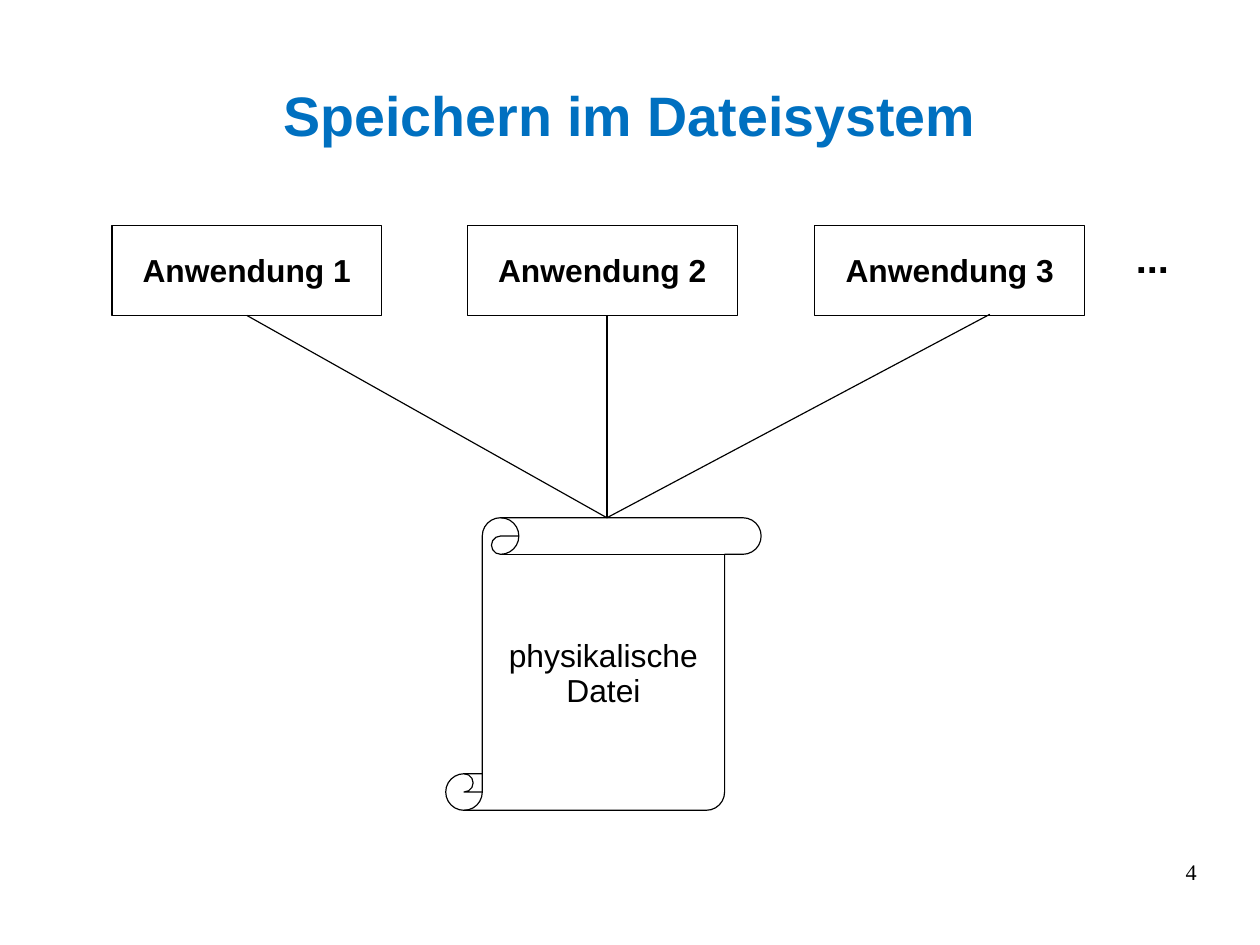
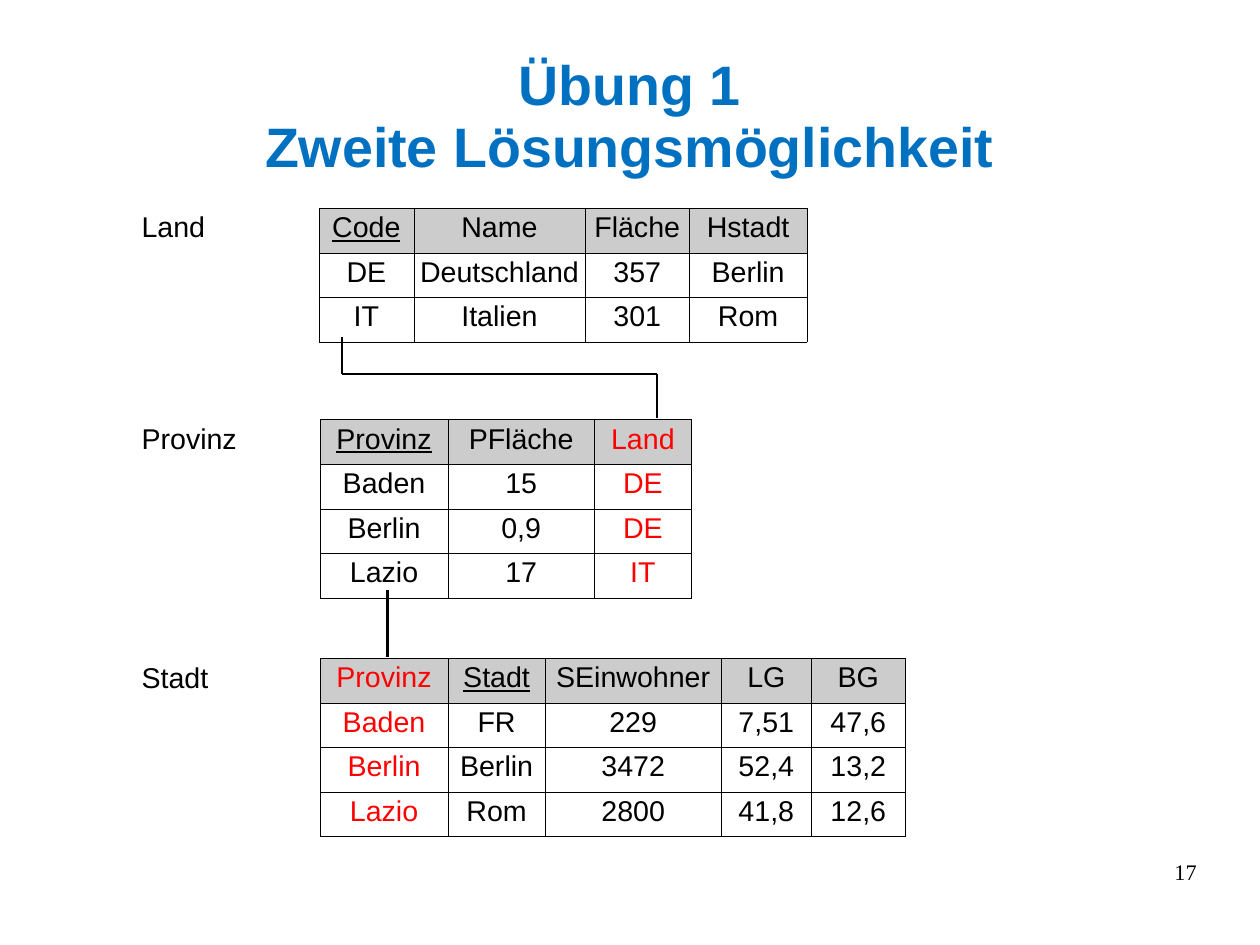
from dataclasses import dataclass

import pptx
import pptx.dml.color
import pptx.enum.shapes
import pptx.enum.text
import pptx.oxml
import pptx.oxml.ns
import pptx.util
from pptx.util import Inches

RGB = pptx.dml.color.RGBColor
ALIGN = pptx.enum.text.PP_ALIGN
ANCHOR = pptx.enum.text.MSO_ANCHOR
SHAPE = pptx.enum.shapes.MSO_SHAPE
LINK = pptx.enum.shapes.MSO_CONNECTOR


@dataclass(frozen=True)
class Style:
    size: float
    color: RGB
    bold: bool = False
    font: str = "Arial"
    align: ALIGN = ALIGN.CENTER
    space: float = 0.93
    under: bool = False


@dataclass(frozen=True)
class Theme:
    ink: RGB = RGB(0, 0, 0)
    blue: RGB = RGB(0x00, 0x70, 0xC0)
    red: RGB = RGB(0xFF, 0, 0)
    gray: RGB = RGB(0xCC, 0xCC, 0xCC)
    thin: float = 0.75
    thick: float = 1.42
    hair: float = 0.06
    title: Style = Style(35, blue, bold=True)
    number: Style = Style(14, ink, font="Times New Roman", align=ALIGN.RIGHT, space=0.95)
    app: Style = Style(20, ink, bold=True)
    file: Style = Style(20, ink)
    dots: Style = Style(25, ink, bold=True, align=ALIGN.LEFT)
    label: Style = Style(18, ink, align=ALIGN.LEFT, space=0.83)
    cell: Style = Style(18, ink)
    key: Style = Style(18, ink, under=True)
    ref: Style = Style(18, red)


@dataclass(frozen=True)
class Box:
    x: float
    y: float
    w: float
    h: float


@dataclass(frozen=True)
class Grid:
    """A relation: its key column is underlined, its foreign key column red."""
    name: str
    wide: float
    left: float
    top: float
    cols: tuple[float, ...]
    rows: tuple[str, ...]
    key: int
    ref: int = -1


THEME = Theme()
CM = 1 / 2.54
PAD = (0.1, 0.07, 0.1, 0.05)
ROW = 0.39
APPS = (0.98, 4.09, 7.13)
STARTS = ((2.16, 2.76), (5.31, 2.76), (8.66, 2.75))
GRIDS = (
    Grid("Land", 0.98, 2.79, 1.82, (0.83, 1.5, 0.91, 1.03),
         ("Code Name Fläche Hstadt", "DE Deutschland 357 Berlin", "IT Italien 301 Rom"), 0),
    Grid("Provinz", 1.38, 2.8, 3.67, (1.12, 1.28, 0.85),
         ("Provinz PFläche Land", "Baden 15 DE", "Berlin 0,9 DE", "Lazio 17 IT"), 0, 2),
    Grid("Stadt", 1.38, 2.8, 5.76, (1.12, 0.85, 1.54, 0.79, 0.82),
         ("Provinz Stadt SEinwohner LG BG", "Baden FR 229 7,51 47,6",
          "Berlin Berlin 3472 52,4 13,2", "Lazio Rom 2800 41,8 12,6"), 1, 0),
)


def write(frame, text: str, style: Style) -> None:
    frame.text = text
    for para in frame.paragraphs:
        para.alignment = style.align
        para.line_spacing = style.space
        font = para.font
        font.name, font.size = style.font, pptx.util.Pt(style.size)
        font.bold, font.underline = style.bold, style.under
        font.color.rgb = style.color


def inset(item, pad: tuple[float, ...]) -> None:
    """Set the margins of a text frame or a table cell."""
    sides = (Inches(side) for side in pad)
    item.margin_left, item.margin_top, item.margin_right, item.margin_bottom = sides


def place(box: Box) -> tuple:
    return Inches(box.x), Inches(box.y), Inches(box.w), Inches(box.h)


def add_text(slide, box: Box, text: str, style: Style, pad=PAD, anchor=ANCHOR.TOP) -> None:
    frame = slide.shapes.add_textbox(*place(box)).text_frame
    frame.word_wrap = True
    frame.vertical_anchor = anchor
    inset(frame, pad)
    write(frame, text, style)


def add_form(slide, kind: SHAPE, box: Box, text: str, style: Style) -> None:
    form = slide.shapes.add_shape(kind, *place(box))
    form.shadow.inherit = False
    form.fill.background()
    form.line.color.rgb = THEME.ink
    form.line.width = pptx.util.Pt(THEME.thin)
    frame = form.text_frame
    frame.word_wrap = False
    frame.vertical_anchor = ANCHOR.MIDDLE
    inset(frame, PAD)
    write(frame, text, style)


def add_line(slide, start: tuple, end: tuple, width: float, kind=LINK.STRAIGHT) -> None:
    ends = (Inches(value) for value in (*start, *end))
    line = slide.shapes.add_connector(kind, *ends)
    line.line.color.rgb = THEME.ink
    line.line.width = pptx.util.Pt(width)
    line._element.spPr.append(pptx.oxml.parse_xml(
        f"<a:effectLst {pptx.oxml.ns.nsdecls('a')}/>"))


def add_edges(cell) -> None:
    props = cell._tc.get_or_add_tcPr()
    width = pptx.util.Pt(THEME.hair)
    for spot, side in enumerate(("lnL", "lnR", "lnT", "lnB")):
        props.insert(spot, pptx.oxml.parse_xml(
            f'<a:{side} {pptx.oxml.ns.nsdecls("a")} w="{width}"><a:solidFill>'
            f'<a:srgbClr val="{THEME.ink}"/></a:solidFill></a:{side}>'))


def add_grid(slide, grid: Grid) -> None:
    count = len(grid.rows)
    box = Box(grid.left, grid.top, sum(grid.cols), count * ROW)
    table = slide.shapes.add_table(count, len(grid.cols), *place(box)).table
    table.first_row = table.horz_banding = False
    for col, width in zip(table.columns, grid.cols):
        col.width = Inches(width)
    for r, row in enumerate(grid.rows):
        table.rows[r].height = Inches(ROW)
        for c, text in enumerate(row.split()):
            cell = table.cell(r, c)
            inset(cell, (0.04, 0.05, 0.04, 0.05))
            if r == 0:
                cell.fill.solid()
                cell.fill.fore_color.rgb = THEME.gray
            else:
                cell.fill.background()
            add_edges(cell)
            style = THEME.cell
            if c == grid.ref:
                style = THEME.ref
            elif r == 0 and c == grid.key:
                style = THEME.key
            write(cell.text_frame, text, style)
    add_text(slide, Box(1.14, grid.top - 0.01, grid.wide, 0.38), grid.name, THEME.label)


def add_page(deck, title: str, top: float, high: float, number: int):
    slide = deck.slides.add_slide(deck.slide_layouts[6])
    add_text(slide, Box(7.9, 7.53, 2.57, 0.57), str(number), THEME.number, (0, 0, 0, 0))
    add_text(slide, Box(0.55, top, 9.92, high), title, THEME.title,
             (0, 0.03, 0, 0), ANCHOR.MIDDLE)
    return slide


def draw_files(deck) -> None:
    slide = add_page(deck, "Speichern im Dateisystem", 0.33, 1.38, 4)
    for i, left in enumerate(APPS, 1):
        add_form(slide, SHAPE.RECTANGLE, Box(left, 1.97, 2.36, 0.79),
                 f"Anwendung {i}", THEME.app)
    add_text(slide, Box(9.84, 2.01, 0.59, 0.49), "...", THEME.dots)
    add_form(slide, SHAPE.VERTICAL_SCROLL, Box(3.9, 4.53, 2.76, 2.56),
             "physikalische\nDatei", THEME.file)
    for start in STARTS:
        add_line(slide, start, (5.31, 4.53), THEME.thin)


def draw_tables(deck) -> None:
    slide = add_page(deck, "Übung 1\nZweite Lösungsmöglichkeit", 0.38, 1.28, 17)
    for grid in GRIDS:
        add_grid(slide, grid)
    left, right, mid = 2.99, 5.75, 3.27
    add_line(slide, (left, 2.95), (left, mid), THEME.thick)
    add_line(slide, (left, mid), (right, mid), THEME.thick, LINK.ELBOW)
    add_line(slide, (right, mid), (right, 3.66), THEME.thick)
    add_line(slide, (3.39, 5.16), (3.39, 5.75), THEME.thick)


def main() -> None:
    deck = pptx.Presentation()
    deck.slide_width = Inches(28 * CM)
    deck.slide_height = Inches(21 * CM)
    draw_files(deck)
    draw_tables(deck)
    deck.save("out.pptx")


if __name__ == "__main__":
    main()
